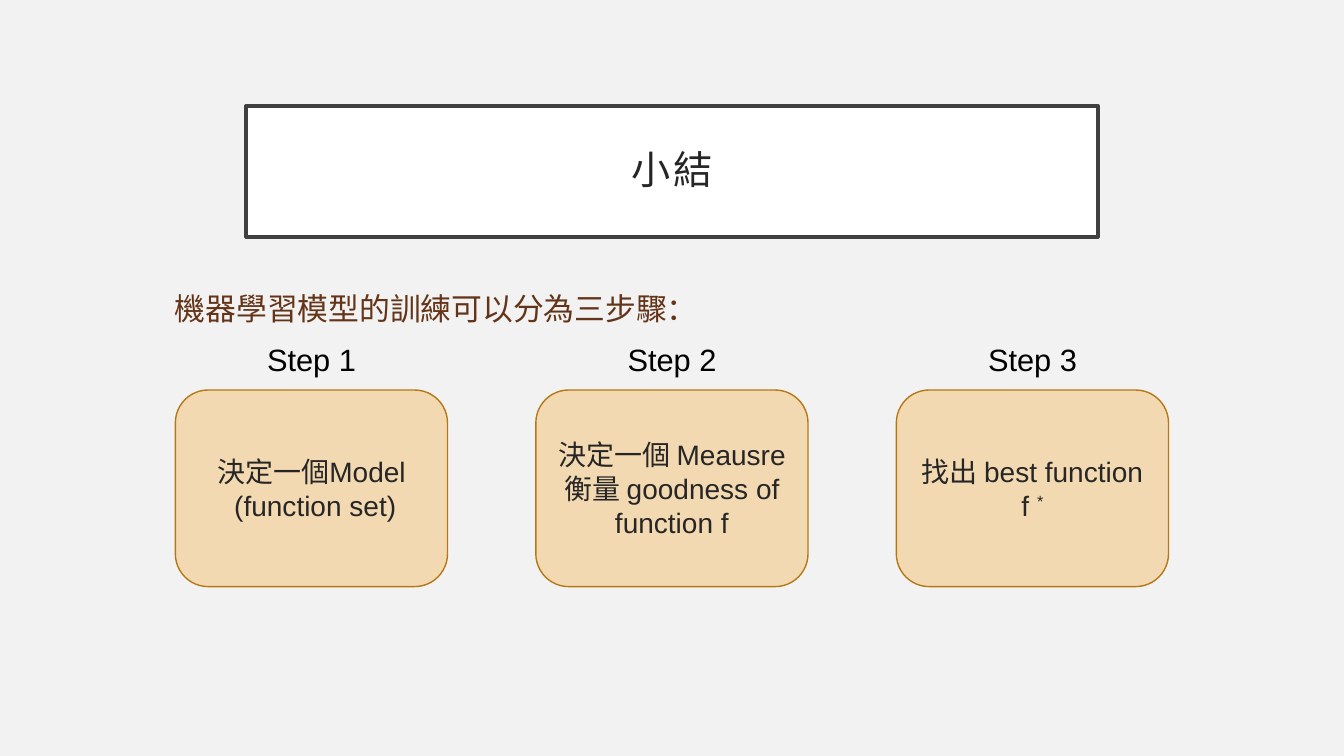
from lxml.etree import SubElement
from pptx import Presentation
from pptx.dml.color import RGBColor
from pptx.enum.shapes import MSO_SHAPE
from pptx.enum.text import MSO_ANCHOR, MSO_AUTO_SIZE, PP_ALIGN
from pptx.oxml.ns import qn
from pptx.util import Pt

LATIN, CHINESE = "Arial", "Noto Sans CJK TC"
TITLE = "小結"
INTRO = "機器學習模型的訓練可以分為三步驟："
# Each step is a list of paragraphs; each paragraph is a list of (text, font, extra attributes).
STEPS = [
    ("Step 1", [[("決定一個", CHINESE, {}), ("Model", LATIN, {})],
                [(" (function set)", LATIN, {})]]),
    ("Step 2", [[("決定一個 ", CHINESE, {}), ("Meausre ", LATIN, {}),
                 ("衡量 ", CHINESE, {}), ("goodness of function f", LATIN, {})]]),
    ("Step 3", [[("找出 ", CHINESE, {}), ("best function f ", LATIN, {}),
                 ("*", LATIN, {"baseline": "30000"})]]),
]
PAGE_WIDTH, PAGE_HEIGHT = 960, 540
CARD_WIDTH, CARD_HEIGHT, CARD_TOP, CARD_PITCH = 194.4, 140.4, 278.6, 257.5
LABEL_WIDTH, LABEL_HEIGHT, LABEL_TOP = 78.5, 33.8, 239.8


def color(value):
    return RGBColor.from_string(value)


def paint(shape, fill, line, width):
    shape.shadow.inherit = False
    shape.fill.solid()
    shape.fill.fore_color.rgb = color(fill)
    shape.line.color.rgb = color(line)
    shape.line.width = Pt(width)


def place(shape, left, top, width, height):
    for name, value in {"left": left, "top": top, "width": width, "height": height}.items():
        setattr(shape, name, Pt(value))


def write(shape, paragraphs, size, text_color, spacing=1.0, align=PP_ALIGN.CENTER, **frame_format):
    frame = shape.text_frame
    for name, value in {"auto_size": MSO_AUTO_SIZE.NONE, "word_wrap": True, **frame_format}.items():
        setattr(frame, name, value)
    for index, spans in enumerate(paragraphs):
        para = frame.add_paragraph() if index else frame.paragraphs[0]
        para.alignment, para.line_spacing = align, spacing
        for text, font_name, extra in spans:
            span = para.add_run()
            span.text = text
            span.font.size, span.font.name = Pt(size), font_name
            span.font.color.rgb = color(text_color)
            properties = span.font._element
            SubElement(properties, qn("a:ea")).set("typeface", CHINESE)
            for name, value in extra.items():
                properties.set(name, value)


def add_card(page, left, paragraphs):
    card = page.shapes.add_shape(MSO_SHAPE.ROUNDED_RECTANGLE, Pt(left), Pt(CARD_TOP),
                                 Pt(CARD_WIDTH), Pt(CARD_HEIGHT))
    paint(card, "F6A21D", "B67815", 1)
    fill_color = card._element.spPr.find(qn("a:solidFill")).find(qn("a:srgbClr"))
    SubElement(fill_color, qn("a:alpha")).set("val", "30000")
    write(card, paragraphs, 20, "262626", vertical_anchor=MSO_ANCHOR.MIDDLE)


def add_text(page, left, top, width, height, text, font_name, text_color, **text_format):
    box = page.shapes.add_textbox(Pt(left), Pt(top), Pt(width), Pt(height))
    write(box, [[(text, font_name, {})]], 22, text_color,
          **{"auto_size": MSO_AUTO_SIZE.SHAPE_TO_FIT_TEXT, **text_format})


def main():
    deck = Presentation()
    deck.slide_width, deck.slide_height = Pt(PAGE_WIDTH), Pt(PAGE_HEIGHT)
    page = deck.slides.add_slide(deck.slide_layouts.get_by_name("Title Only"))
    page.background.fill.solid()
    page.background.fill.fore_color.rgb = color("F2F2F2")

    title = page.shapes.title
    place(title, 175.8, 75.6, 608.4, 93.6)
    paint(title, "FFFFFF", "404040", 2.5)
    margins = {f"margin_{side}": Pt(14.4) for side in ("left", "right", "top", "bottom")}
    write(title, [[(TITLE, "Lato", {"spc": "200"})]], 28, "262626", spacing=0.9,
          vertical_anchor=MSO_ANCHOR.MIDDLE, **margins)

    first_left = (PAGE_WIDTH - CARD_WIDTH - CARD_PITCH * (len(STEPS) - 1)) / 2
    for index, (label, paragraphs) in enumerate(STEPS):
        left = first_left + index * CARD_PITCH
        add_text(page, left + (CARD_WIDTH - LABEL_WIDTH) / 2, LABEL_TOP, LABEL_WIDTH,
                 LABEL_HEIGHT, label, LATIN, "000000", word_wrap=False)
        add_card(page, left, paragraphs)

    add_text(page, 117.8, 177.1, 608.4, 52.6, INTRO, CHINESE, "643418",
             spacing=2.0, align=PP_ALIGN.LEFT)
    deck.save("out.pptx")


if __name__ == "__main__":
    main()
